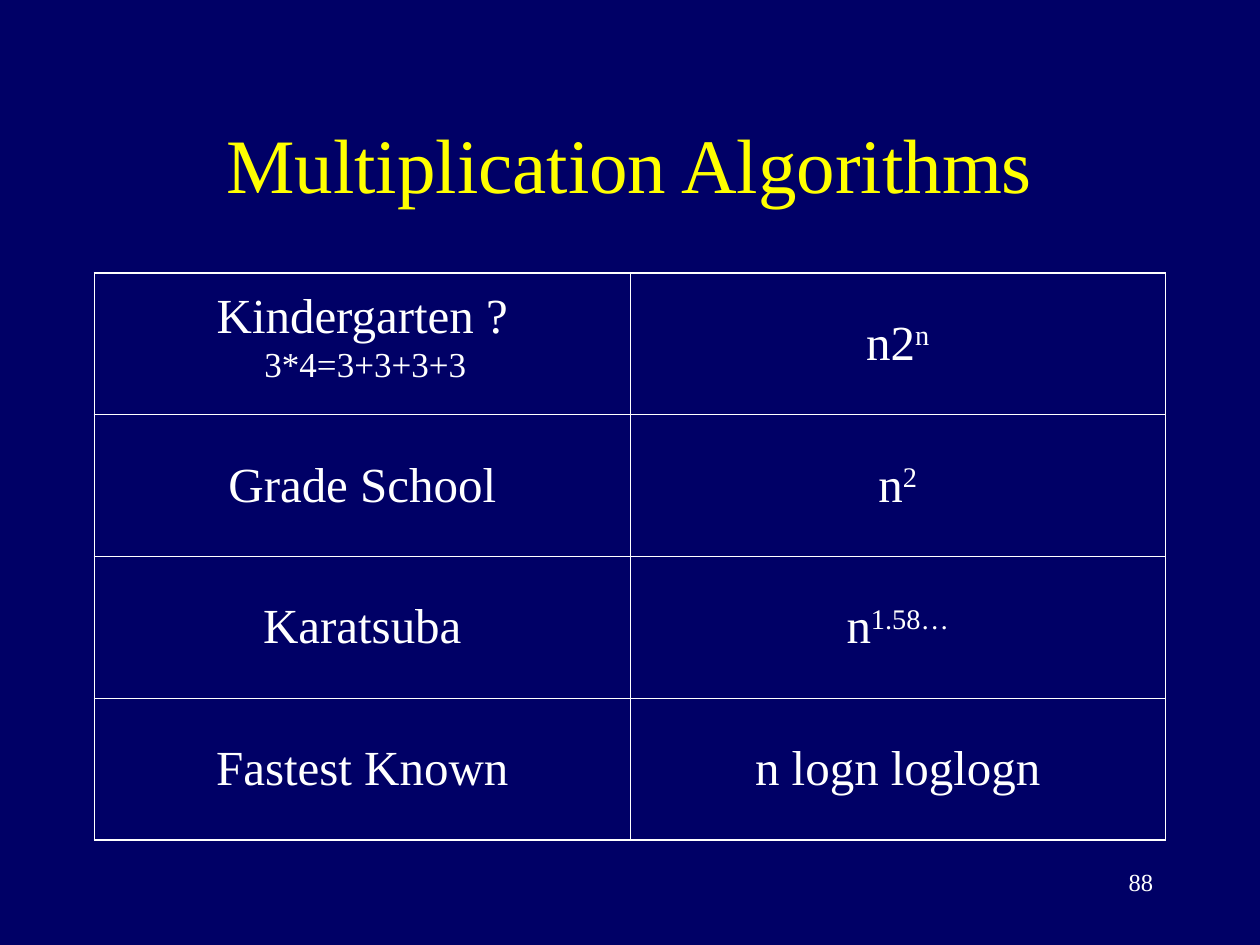
from lxml import etree
from pptx import Presentation, util as u
from pptx.dml.color import RGBColor
from pptx.enum import text
from pptx.oxml.ns import qn

PX = 9525
WHITE, YELLOW, NAVY = "FFFFFF", "FFFF00", "000066"
CENTER, RIGHT, LEFT = text.PP_ALIGN.CENTER, text.PP_ALIGN.RIGHT, text.PP_ALIGN.LEFT
ALGORITHMS = [
    ("Kindergarten ?", "n2", "n"),
    ("Grade School", "n", "2"),
    ("Karatsuba", "n", "1.58…"),
    ("Fastest Known", "n logn loglogn", ""),
]


def px(length):
    return u.Emu(length * PX)


def color(value):
    return RGBColor.from_string(value)


class Deck:
    """Holds the slide style and draws each kind of element."""

    font = "Times New Roman"
    outer, inner = 1.08, 0.45

    def __init__(self, width, height):
        self.prs = Presentation()
        self.prs.slide_width, self.prs.slide_height = px(width), px(height)
        self.slide = self.prs.slides.add_slide(self.prs.slide_layouts[6])
        fill = self.slide.background.fill
        fill.solid()
        fill.fore_color.rgb = color(NAVY)

    def style(self, run, size, ink=WHITE):
        run.font.name, run.font.size = self.font, u.Pt(size)
        run.font.color.rgb = color(ink)

    def label(self, words, box, size, align, ink=WHITE, middle=False, wrap=True):
        frame = self.slide.shapes.add_textbox(*map(px, box)).text_frame
        frame.word_wrap = wrap
        if middle:
            frame.vertical_anchor = text.MSO_ANCHOR.MIDDLE
        line = frame.paragraphs[0]
        line.text, line.alignment = words, align
        self.style(line.runs[0], size, ink)

    def border(self, cell, side, width):
        edge = etree.SubElement(cell._tc.get_or_add_tcPr(), qn(f"a:ln{side}"), w=str(u.Pt(width)))
        paint = etree.SubElement(edge, qn("a:solidFill"))
        etree.SubElement(paint, qn("a:srgbClr"), val=WHITE)

    def cell(self, cell, words, power, size):
        line = cell.text_frame.paragraphs[0]
        line.text, line.alignment = words, CENTER
        if power:
            exponent = line.add_run()
            exponent.text = power
            exponent._r.get_or_add_rPr().set("baseline", "30000")
        for run in line.runs:
            self.style(run, size)
        cell.vertical_anchor = text.MSO_ANCHOR.MIDDLE

    def table(self, rows, box, size):
        grid = self.slide.shapes.add_table(len(rows), 2, *map(px, box)).table
        grid.first_row = grid.horz_banding = False
        last = len(rows) - 1
        for r, (name, cost, power) in enumerate(rows):
            for c, (words, raised) in enumerate([(name, ""), (cost, power)]):
                cell = grid.cell(r, c)
                self.cell(cell, words, raised, size)
                edges = {"L": c == 0, "R": c == 1, "T": r == 0, "B": r == last}
                for side, outside in edges.items():
                    self.border(cell, side, self.outer if outside else self.inner)
                cell.fill.background()
        return grid


def main():
    deck = Deck(960, 720)
    deck.label("Multiplication Algorithms", (72, 64, 816, 120), 44, CENTER, YELLOW, middle=True)
    costs = deck.table(ALGORITHMS, (72, 208, 816, 432), 28)
    costs.cell(0, 0).margin_bottom = px(46)
    deck.label("3*4=3+3+3+3", (192, 256, 173, 42), 20, LEFT, wrap=False)
    deck.label("88", (688, 656, 200, 48), 14, RIGHT)
    deck.prs.save("out.pptx")


if __name__ == "__main__":
    main()
